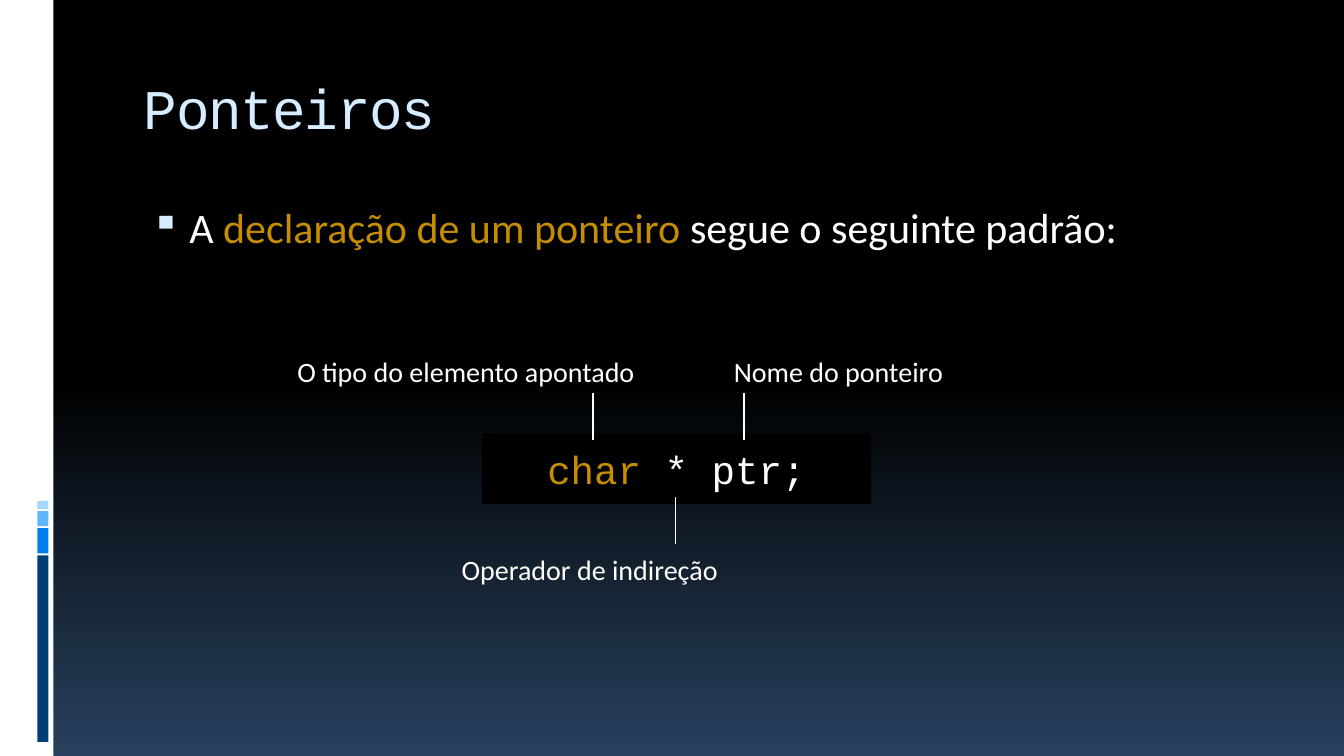
from pptx import Presentation
from pptx.dml.color import RGBColor as RGB
from pptx.enum.shapes import MSO_CONNECTOR as CON, MSO_SHAPE as SHP
from pptx.enum.text import MSO_ANCHOR as ANC, MSO_AUTO_SIZE as FIT, PP_ALIGN as ALN
from pptx.oxml import parse_xml
from pptx.oxml.ns import nsdecls
from pptx.util import Inches, Pt

WHITE = RGB(0xFF, 0xFF, 0xFF)
BLACK = RGB(0, 0, 0)
NAVY = RGB(0x28, 0x41, 0x5E)
GOLD = RGB(0xC5, 0x8D, 0x01)
ICE = RGB(0xD6, 0xEC, 0xFF)
BLUES = [RGB(0xA7, 0xD6, 0xFF), RGB(0x61, 0xB6, 0xFF),
         RGB(0x00, 0x7E, 0xEB), RGB(0x00, 0x3F, 0x75)]

TITLE = dict(name="Courier New", size=Pt(40))
BODY = dict(name="Calibri", size=Pt(30))
CODE = dict(name="Courier New", size=Pt(28))
LABEL = dict(name="Calibri", size=Pt(20))


def set_all(item, form):
    """Set each attribute named in form on item."""
    for key, value in form.items():
        setattr(item, key, value)


def add_block(slide, box, color):
    """Draw a plain filled rectangle in box."""
    block = slide.shapes.add_shape(SHP.RECTANGLE, *map(Inches, box))
    block.shadow.inherit = False
    block.fill.solid()
    block.fill.fore_color.rgb = color
    block.line.fill.background()
    return block


def write(shape, runs, font, **frame):
    """Fill shape with one paragraph of (text, color) runs."""
    set_all(shape.text_frame, frame)
    para = shape.text_frame.paragraphs[0]
    for text, color in runs:
        run = para.add_run()
        run.text = text
        set_all(run.font, font)
        run.font.color.rgb = color
    return para


def add_text(slide, box, runs, font, **frame):
    """Place a text box in box and return its paragraph."""
    shape = slide.shapes.add_textbox(*map(Inches, box))
    return write(shape, runs, font, **frame)


def add_line(slide, x, y, drop):
    """Draw a thin white line from (x, y) down by drop."""
    line = slide.shapes.add_connector(
        CON.STRAIGHT, *map(Inches, (x, y, x, y + drop)))
    set_all(line.line, dict(width=Pt(0.94)))
    line.line.color.rgb = WHITE
    props = line._element.spPr
    props.append(parse_xml(f"<a:effectLst {nsdecls('a')}/>"))


def paint_back(slide):
    """Shade the background from black at mid height to navy."""
    fill = slide.background.fill
    fill.gradient()
    fill.gradient_angle = 270
    for stop, place, color in zip(fill.gradient_stops, (0.5, 1), (BLACK, NAVY)):
        stop.position = place
        stop.color.rgb = color


def add_side(slide, box):
    """Draw the white side band with its stack of blue bars."""
    left, top, _, _ = box
    add_block(slide, box, WHITE)
    y = top + 4.97
    for color, high in zip(BLUES, (0.08, 0.15, 0.25, 1.85)):
        add_block(slide, (left + 0.37, y, 0.11, high), color)
        y += high + 0.02


def add_title(slide, box):
    """Write the slide title."""
    para = add_text(slide, box, [("Ponteiros", ICE)], TITLE,
                    word_wrap=True, vertical_anchor=ANC.MIDDLE)
    para.runs[0].font._element.set("spc", "-100")


def add_body(slide, box):
    """Write the bulleted sentence."""
    runs = [("A ", WHITE), ("declaração de um ponteiro ", GOLD),
            ("segue o seguinte padrão:", WHITE)]
    para = add_text(slide, box, runs, BODY, word_wrap=True)
    para.space_before = Pt(7)
    props = para._p.get_or_add_pPr()
    props.set("marL", str(Inches(0.45)))
    props.set("indent", str(Inches(-0.38)))
    for tag in (f'<a:buClr {{}}><a:srgbClr val="{ICE}"/></a:buClr>',
                '<a:buSzPct {} val="95000"/>', '<a:buChar {} char="▪"/>'):
        props.append(parse_xml(tag.format(nsdecls("a"))))


def add_code(slide, box):
    """Draw the declaration in box with a label for each of its parts."""
    left, top, _, high = box
    code = add_block(slide, box, BLACK)
    para = write(code, [("char", GOLD), (" * ptr;", WHITE)], CODE,
                 vertical_anchor=ANC.MIDDLE)
    para.alignment = ALN.CENTER
    over, under = top - 0.83, top + high + 0.43
    for text, x, y, wide, mark in (
            ("O tipo do elemento apontado", -1.93, over, 3.62, 1.1),
            ("Nome do ponteiro", 2.4, over, 2.32, 2.6),
            ("Operador de indireção", -0.3, under, 2.8, 1.92)):
        add_text(slide, (left + x, y, wide, 0.44), [(text, WHITE)], LABEL,
                 word_wrap=False, auto_size=FIT.SHAPE_TO_FIT_TEXT)
        start = y + 0.43 if y < top else y - 0.5
        add_line(slide, left + mark, start, 0.47)


def build():
    """Build the slide and save it."""
    deck = Presentation()
    set_all(deck, dict(slide_width=Inches(13.33), slide_height=Inches(7.5)))
    slide = deck.slides.add_slide(deck.slide_layouts[6])
    paint_back(slide)
    add_side(slide, (0, 0, 0.53, 7.5))
    add_title(slide, (1.33, 0.56, 11.33, 1))
    add_body(slide, (1.33, 1.95, 11.33, 5))
    add_code(slide, (4.78, 4.3, 3.86, 0.7))
    deck.save("out.pptx")


build()
